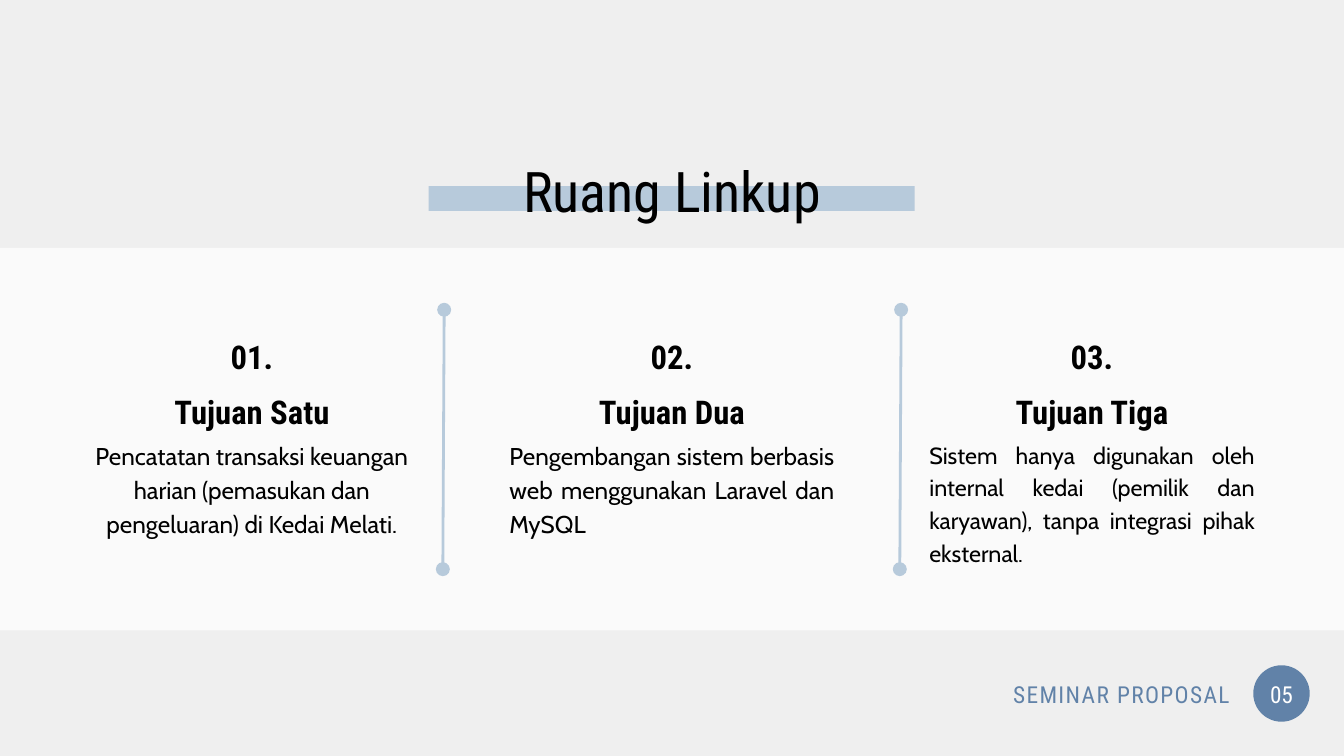
from dataclasses import dataclass

from lxml import etree
from pptx import Presentation
from pptx import util as u
from pptx.dml import color
from pptx.enum import shapes, text
from pptx.oxml import ns

ALIGN = text.PP_ALIGN


@dataclass(frozen=True)
class Theme:
    back: str = "EFEFEF"
    band: str = "FAFAFA"
    pale: str = "B7CADB"
    deep: str = "6182A8"
    ink: str = "000000"
    white: str = "FFFFFF"
    head: str = "Roboto Condensed"
    body: str = "Cabin"
    title: int = 60
    label: int = 35
    copy: int = 26
    small: int = 25
    lead: float = 1.4


@dataclass(frozen=True)
class Goal:
    num: str
    name: str
    words: str
    align: ALIGN
    size: int
    top: float
    high: float


T = Theme()
MID = 10
STEP = 6.25
GOALS = [
    Goal("01.", "Tujuan Satu",
         "Pencatatan transaksi keuangan harian (pemasukan dan pengeluaran) di Kedai Melati.",
         ALIGN.CENTER, T.copy, 6.5, 2.48),
    Goal("02.", "Tujuan Dua",
         "Pengembangan sistem berbasis web menggunakan Laravel dan MySQL",
         ALIGN.JUSTIFY, T.copy, 6.5, 1.48),
    Goal("03.", "Tujuan Tiga",
         "Sistem hanya digunakan oleh internal kedai (pemilik dan karyawan), "
         "tanpa integrasi pihak eksternal.",
         ALIGN.JUSTIFY, T.small, 6.49, 1.91),
]


def rgb(code: str) -> color.RGBColor:
    return color.RGBColor.from_string(code)


def block(slide, kind: shapes.MSO_SHAPE, x: float, y: float,
          w: float, h: float, fill: str) -> None:
    item = slide.shapes.add_shape(
        kind, u.Inches(x), u.Inches(y), u.Inches(w), u.Inches(h))
    item.shadow.inherit = False
    item.fill.solid()
    item.fill.fore_color.rgb = rgb(fill)
    item.line.fill.background()


def write(slide, words: str, x: float, y: float, w: float, h: float, *,
          size: int, font: str = T.head, ink: str = T.ink, bold: bool = False,
          align: ALIGN = ALIGN.CENTER, track: float = 0) -> None:
    box = slide.shapes.add_textbox(
        u.Inches(x), u.Inches(y), u.Inches(w), u.Inches(h))
    frame = box.text_frame
    frame.word_wrap = True
    frame.auto_size = text.MSO_AUTO_SIZE.SHAPE_TO_FIT_TEXT
    frame.margin_left = frame.margin_right = 0
    frame.margin_top = frame.margin_bottom = 0
    para = frame.paragraphs[0]
    para.alignment = align
    para.line_spacing = u.Pt(size * T.lead)
    run = para.add_run()
    run.text = words
    run.font.name = font
    run.font.size = u.Pt(size)
    run.font.bold = bold
    run.font.color.rgb = rgb(ink)
    if track:
        run._r.get_or_add_rPr().set("spc", str(round(track * 100)))


def divide(slide, x: float) -> None:
    line = slide.shapes.add_connector(
        shapes.MSO_CONNECTOR.STRAIGHT,
        u.Inches(x - 0.01), u.Inches(8.47), u.Inches(x + 0.01), u.Inches(4.61))
    line.line.color.rgb = rgb(T.pale)
    line.line.width = u.Pt(3)
    stroke = line.line._get_or_add_ln()
    for end in ("a:headEnd", "a:tailEnd"):
        etree.SubElement(stroke, ns.qn(end), type="oval", w="lg", len="lg")
    etree.SubElement(line._element.spPr, ns.qn("a:effectLst"))


def column(slide, goal: Goal, mid: float) -> None:
    write(slide, goal.num, mid - 0.72, 4.92, 1.44, 0.64, size=T.label, bold=True)
    write(slide, goal.name, mid - 1.83, 5.73, 3.66, 0.64, size=T.label, bold=True)
    write(slide, goal.words, mid - 2.42, goal.top, 4.84, goal.high,
          size=goal.size, font=T.body, align=goal.align)


def main() -> None:
    deck = Presentation()
    deck.slide_width = u.Inches(20)
    deck.slide_height = u.Inches(11.25)
    slide = deck.slides.add_slide(deck.slide_layouts[6])
    slide.background.fill.solid()
    slide.background.fill.fore_color.rgb = rgb(T.back)

    kind = shapes.MSO_SHAPE
    block(slide, kind.RECTANGLE, 6.38, 2.77, 7.23, 0.37, T.pale)
    block(slide, kind.OVAL, 18.65, 9.9, 0.84, 0.84, T.deep)
    block(slide, kind.RECTANGLE, 0, 3.69, 20, 5.69, T.band)
    for side in (-1, 1):
        divide(slide, MID + side * 3.4)

    write(slide, "Ruang Linkup", 5.92, 2.16, 8.16, 1.1, size=T.title)
    for i, goal in enumerate(GOALS):
        column(slide, goal, MID + (i - 1) * STEP)
    write(slide, "05", 18.63, 10.05, 0.88, 0.47, size=T.small, ink=T.white)
    write(slide, "SEMINAR PROPOSAL", 14.21, 10.05, 4.09, 0.47,
          size=T.small, ink=T.deep, align=ALIGN.RIGHT, track=1.5)
    deck.save("out.pptx")


if __name__ == "__main__":
    main()
